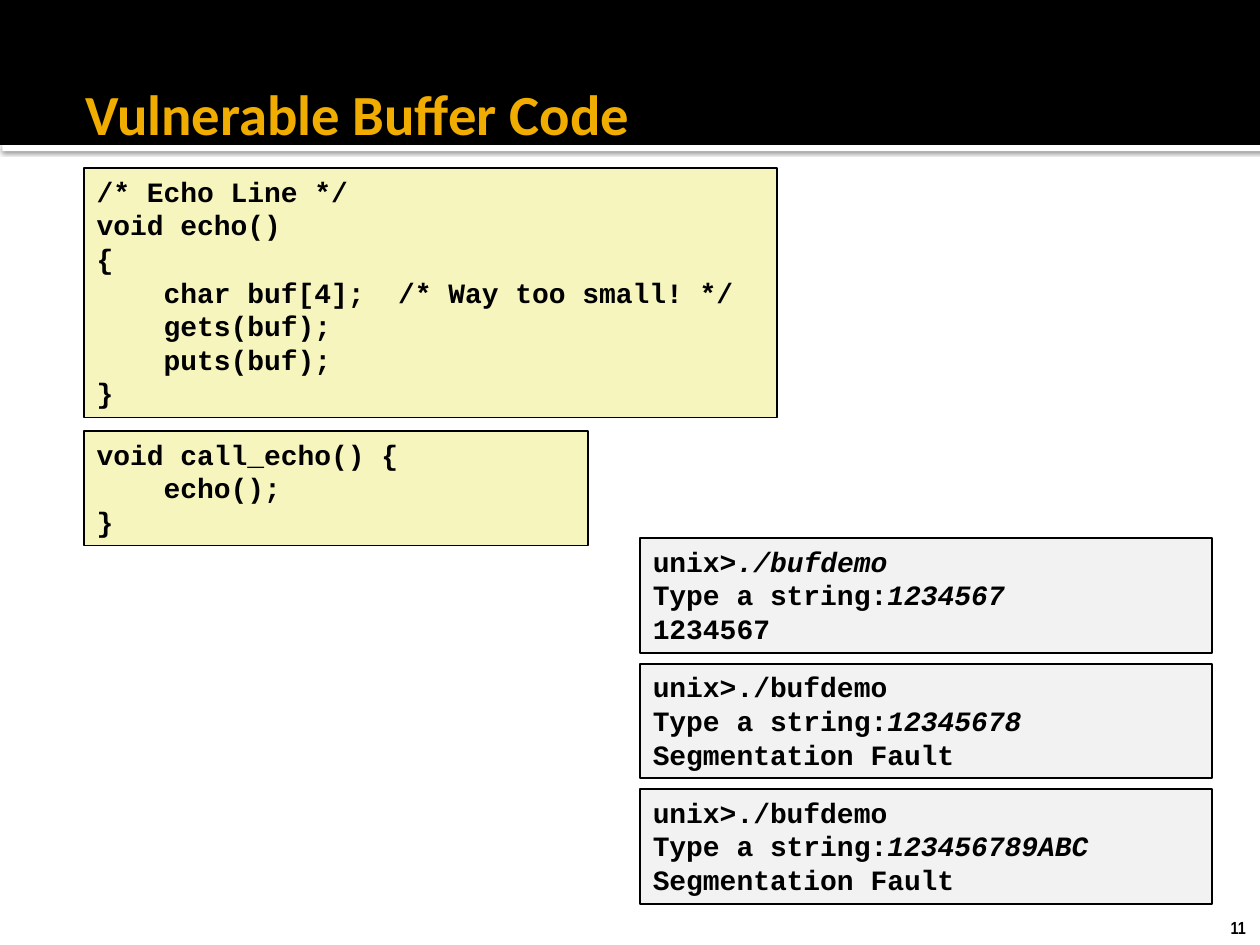
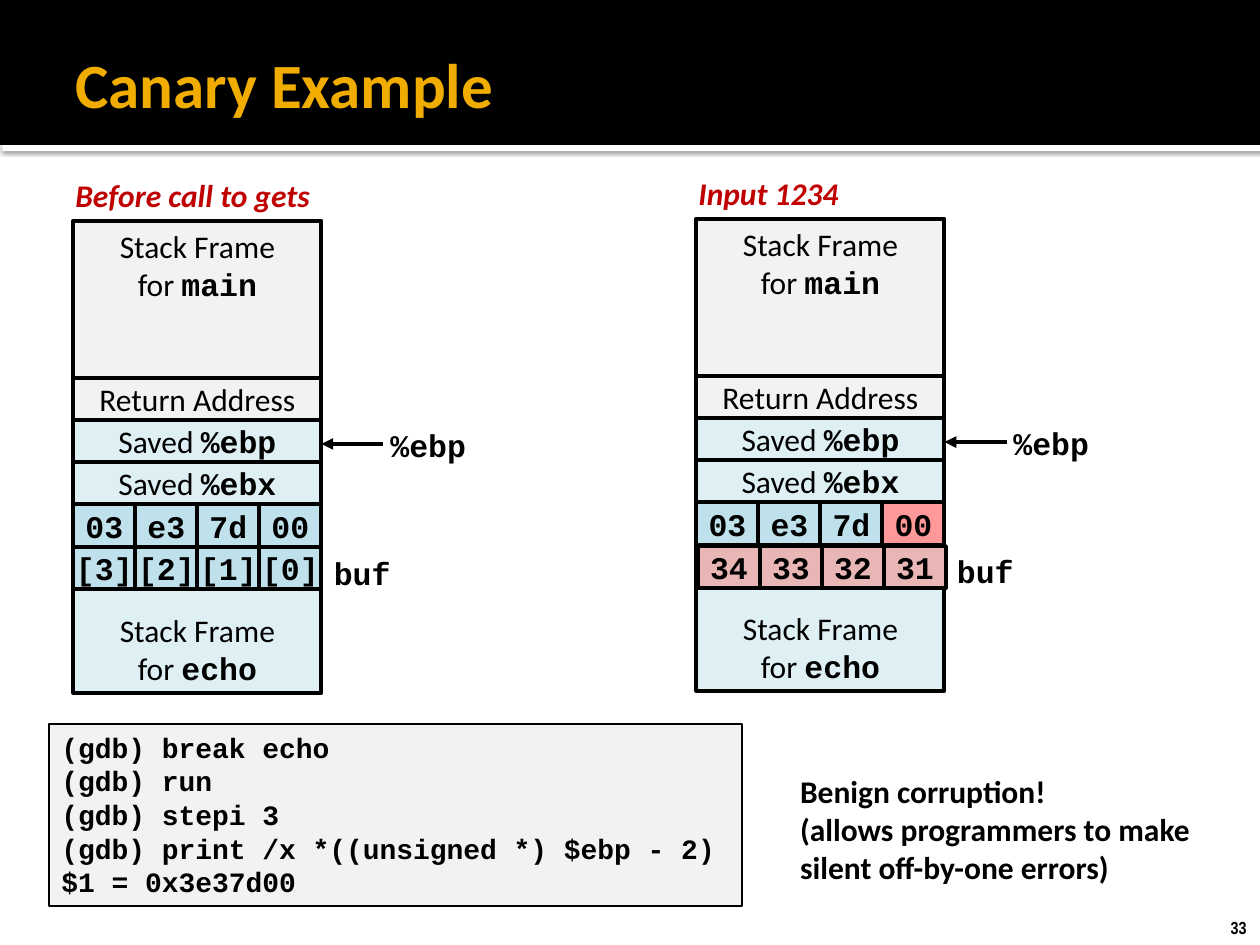
import dataclasses
import pptx
import pptx.dml.color
import pptx.enum.shapes
import pptx.enum.text
import pptx.oxml
import pptx.oxml.ns
import pptx.util
import lxml.etree

Cm = pptx.util.Cm
Pt = pptx.util.Pt
Align = pptx.enum.text.PP_ALIGN
Anchor = pptx.enum.text.MSO_ANCHOR
AutoSize = pptx.enum.text.MSO_AUTO_SIZE


@dataclasses.dataclass(frozen=True)
class Theme:
    black: str = "000000"
    white: str = "FFFFFF"
    title: str = "F0AD00"
    heading: str = "C00000"
    code: str = "F6F5BD"
    grey: str = "F2F2F2"
    frame: str = "DFF0F5"
    byte: str = "BFE1EB"
    changed: str = "FF9999"
    typed: str = "E8B6B5"
    sans: str = "Calibri"
    mono: str = "Courier New"
    narrow: str = "Arial Narrow"
    title_size: float = 36
    small_title_size: float = 32.4
    body_size: float = 18
    code_size: float = 16
    number_size: float = 10
    thin: float = 1
    thick: float = 2.25


THEME = Theme()
MONO = {"font": THEME.mono, "bold": True}
TYPED = {"italic": True}


def rgb(value):
    return pptx.dml.color.RGBColor.from_string(value)


def format_span(span, font=THEME.sans, size=THEME.body_size, color=THEME.black,
                bold=False, italic=False):
    span.font.name = font
    span.font.size = Pt(size)
    span.font.color.rgb = rgb(color)
    span.font.bold = bold
    span.font.italic = italic


def write_text(shape, paras, align=Align.LEFT, anchor=Anchor.TOP, wrap=True,
               grow=False, **style):
    frame = shape.text_frame
    frame.word_wrap = wrap
    frame.auto_size = AutoSize.SHAPE_TO_FIT_TEXT if grow else AutoSize.NONE
    frame.vertical_anchor = anchor
    for index, content in enumerate(paras):
        para = frame.add_paragraph() if index else frame.paragraphs[0]
        para.alignment = align
        for part in [content] if isinstance(content, str) else content:
            text, change = (part, {}) if isinstance(part, str) else part
            span = para.add_run()
            span.text = text
            format_span(span, **{**style, **change})


def add_label(page, box, paras, **style):
    label = page.shapes.add_textbox(*map(Cm, box))
    write_text(label, paras, **style)


def add_rectangle(page, box, fill, line_width=None):
    shape = page.shapes.add_shape(
        pptx.enum.shapes.MSO_SHAPE.RECTANGLE, *map(Cm, box))
    shape.shadow.inherit = False
    shape.fill.solid()
    shape.fill.fore_color.rgb = rgb(fill)
    if line_width:
        shape.line.color.rgb = rgb(THEME.black)
        shape.line.width = Pt(line_width)
    else:
        shape.line.fill.background()
    return shape


def add_code(page, box, fill, lines):
    shape = add_rectangle(page, box, fill, THEME.thin)
    write_text(shape, lines, grow=True, size=THEME.code_size, **MONO)


def add_cell(page, box, fill, paras, anchor=Anchor.MIDDLE, **style):
    shape = add_rectangle(page, box, fill, THEME.thick)
    write_text(shape, paras, align=Align.CENTER, anchor=anchor, wrap=False, **style)


def add_arrow(page, x1, y1, x2, y2):
    arrow = page.shapes.add_connector(
        pptx.enum.shapes.MSO_CONNECTOR.STRAIGHT, *map(Cm, (x1, y1, x2, y2)))
    arrow.line.color.rgb = rgb(THEME.black)
    arrow.line.width = Pt(THEME.thick)
    qn = pptx.oxml.ns.qn
    lxml.etree.SubElement(arrow.line._get_or_add_ln(), qn("a:tailEnd"), type="triangle")
    lxml.etree.SubElement(arrow._element.spPr, qn("a:effectLst"))


def add_strip_shadow(strip):
    qn = pptx.oxml.ns.qn
    effects = strip._element.spPr.find(qn("a:effectLst"))
    shadow = lxml.etree.SubElement(
        effects, qn("a:outerShdw"), blurRad=str(Pt(2.5)), dist=str(Pt(0.8)),
        dir="5400000", algn="tl", rotWithShape="0")
    color = lxml.etree.SubElement(shadow, qn("a:srgbClr"), val=THEME.black)
    lxml.etree.SubElement(color, qn("a:alpha"), val="60000")


def add_page(deck, title, title_box, title_size, number):
    page = deck.slides.add_slide(deck.slide_layouts[6])
    add_strip_shadow(add_rectangle(page, (0.05, 2.92, 25.4, 0.13), THEME.white))
    add_rectangle(page, (0, 0, 25.4, 2.92), THEME.black)
    add_label(page, (24.56, 18.36, 0.86, 0.69), [number], wrap=False, grow=True,
              font=THEME.narrow, size=THEME.number_size, bold=True)
    add_label(page, title_box, [title], anchor=Anchor.MIDDLE,
              size=title_size, color=THEME.title, bold=True)
    return page


def add_byte_row(page, box, values, fills):
    left, top, width, height = box
    step = width / len(values)
    for index, (value, fill) in enumerate(zip(values, fills)):
        add_cell(page, (left + index * step, top, step, height), fill, [value], **MONO)


def add_stack(page, box, heading, heading_width, canary_fills, buf, buf_fill,
              buf_shift=0):
    left, top, width, height = box
    main_height, row = 3.17, 0.85
    return_top, ebp_top, ebx_top, canary_top, buf_top = (
        top + main_height + index * row for index in range(5))
    right = left + width

    add_label(page, (left - 0.21, top - 1.02, heading_width, 1.02), [heading],
              wrap=False, grow=True, color=THEME.heading, bold=True, italic=True)
    add_cell(page, (left, top, width, main_height), THEME.grey,
             ["Stack Frame", ["for ", ("main", MONO)]], anchor=Anchor.TOP)
    add_cell(page, (left, return_top, width, row), THEME.grey, ["Return Address"])
    add_cell(page, (left, ebp_top, width, row), THEME.frame,
             [["Saved ", ("%ebp", MONO)]])
    add_cell(page, (left, ebx_top, width, top + height - ebx_top), THEME.frame,
             ["Stack Frame", ["for ", ("echo", MONO)]], anchor=Anchor.BOTTOM)
    add_cell(page, (left, ebx_top, width, row), THEME.frame,
             [["Saved ", ("%ebx", MONO)]])
    add_byte_row(page, (left, canary_top, width, row),
                 ["03", "e3", "7d", "00"], canary_fills)
    add_byte_row(page, (left + buf_shift, buf_top + buf_shift, width, row),
                 buf, [buf_fill] * 4)
    add_arrow(page, right + 1.25, top + 4.5, right, top + 4.5)
    add_label(page, (right + 1.14, top + 4.02, 2.06, 1.02), ["%ebp"],
              wrap=False, grow=True, **MONO)
    add_label(page, (right, top + 6.6, 1.65, 1.02), ["buf"],
              wrap=False, grow=True, **MONO)


def add_sessions(page, box, gap, sessions):
    left, top, width, height = box
    for index, lines in enumerate(sessions):
        add_code(page, (left, top + index * (height + gap), width, height),
                 THEME.grey, lines)


def build_buffer_page(deck):
    page = add_page(deck, "Vulnerable Buffer Code", (1.47, 1.47, 17.8, 1.6),
                    THEME.small_title_size, "11")
    add_code(page, (1.7, 8.69, 10.16, 2.31), THEME.code,
             ["void call_echo() {", "    echo();", "}"])
    add_code(page, (1.7, 3.39, 13.97, 5.03), THEME.code,
             ["/* Echo Line */", "void echo()", "{",
              "    char buf[4];  /* Way too small! */",
              "    gets(buf);", "    puts(buf);", "}"])
    prompt = "Type a string:"
    add_sessions(page, (12.91, 10.85, 11.53, 2.31), 0.22, [
        [["unix>", ("./bufdemo", TYPED)], [prompt, ("1234567", TYPED)], "1234567"],
        ["unix>./bufdemo", [prompt, ("12345678", TYPED)], "Segmentation Fault"],
        ["unix>./bufdemo", [prompt, ("123456789ABC", TYPED)], "Segmentation Fault"],
    ])


def build_canary_page(deck):
    page = add_page(deck, "Canary Example", (1.27, 0.43, 22.86, 2.49),
                    THEME.title_size, "33")
    add_code(page, (0.99, 14.6, 13.97, 3.66), THEME.grey,
             ["(gdb) break echo", "(gdb) run", "(gdb) stepi 3",
              "(gdb) print /x *((unsigned *) $ebp - 2)", "$1 = 0x3e37d00"])
    add_stack(page, (1.48, 4.45, 5, 9.52), "Before call to gets", 5.31,
              [THEME.byte] * 4, ["[3]", "[2]", "[1]", "[0]"], THEME.byte)
    add_stack(page, (14.04, 4.41, 5, 9.52), "Input 1234", 3.38,
              [THEME.byte] * 3 + [THEME.changed], ["34", "33", "32", "31"],
              THEME.typed, buf_shift=0.03)
    add_label(page, (15.88, 15.44, 8.89, 2.57),
              ["Benign corruption!",
               "(allows programmers to make silent off-by-one errors)"],
              grow=True, bold=True)


def main():
    deck = pptx.Presentation()
    deck.slide_width = Cm(25.4)
    deck.slide_height = Cm(19.05)
    build_buffer_page(deck)
    build_canary_page(deck)
    deck.save("out.pptx")


if __name__ == "__main__":
    main()
